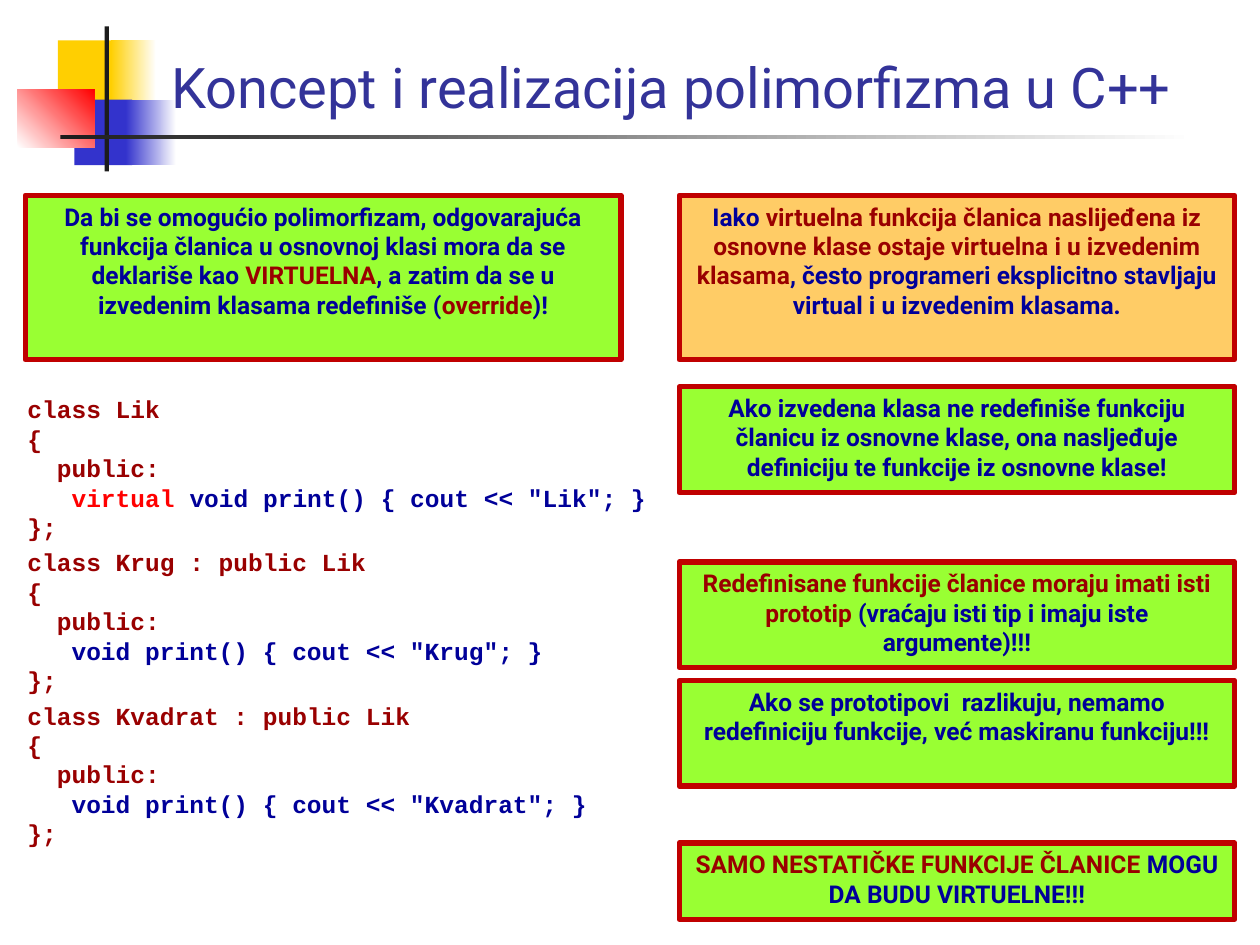
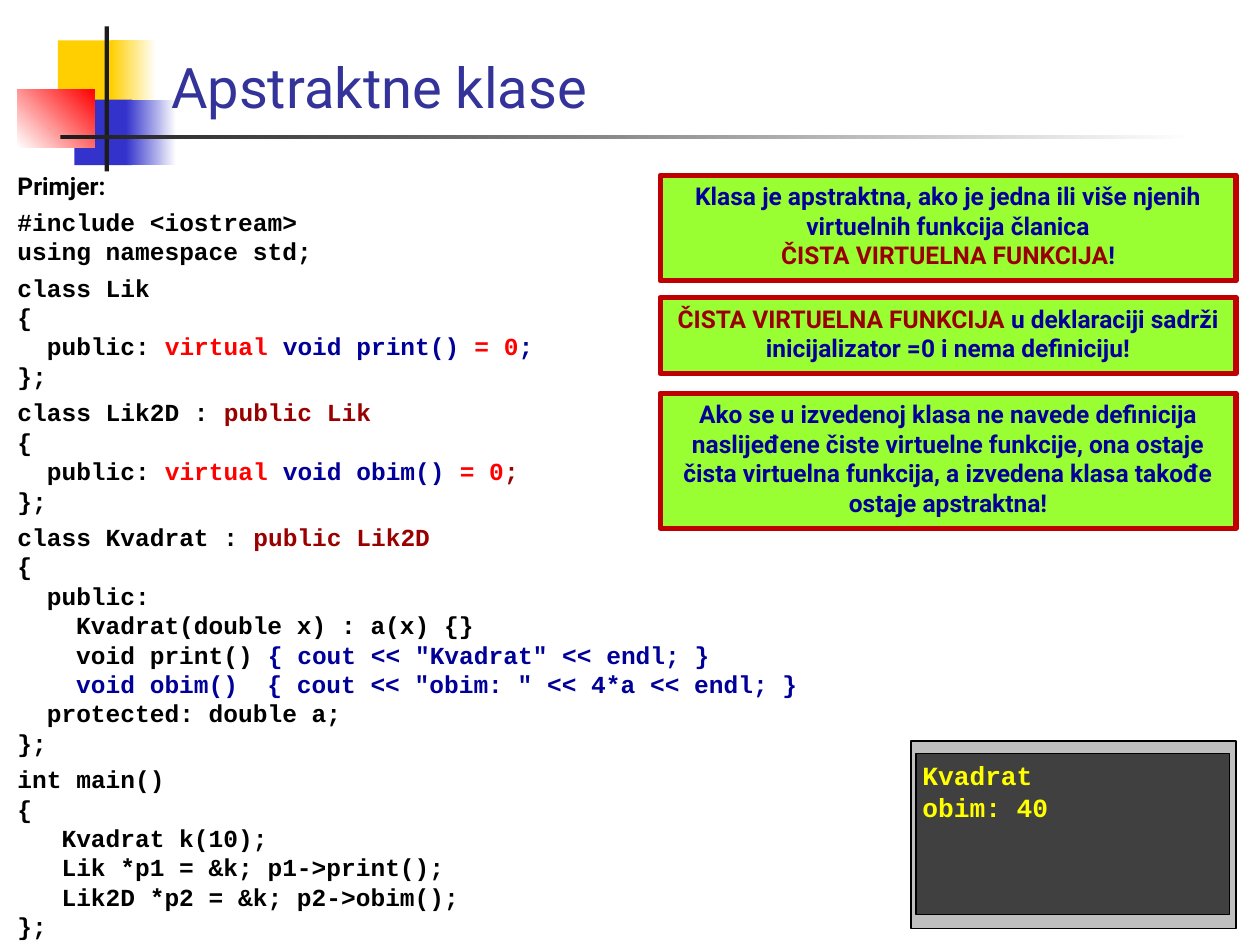
from lxml import etree
from pptx import Presentation
from pptx import util as u
from pptx.dml.color import RGBColor
from pptx.enum import shapes, text
from pptx.oxml.ns import qn

COLUMNS, ROWS = 100, 75
CELL = u.Inches(0.1)
BODY, CODE = "Roboto", "Courier New"
CODE_SIZE = 14
CODE_CHAR = 0.6 * CODE_SIZE

WHITE = RGBColor(0xFF, 0xFF, 0xFF)
BLACK = RGBColor(0x00, 0x00, 0x00)
INK = RGBColor(0x1C, 0x1C, 0x1C)
YELLOW = RGBColor(0xFF, 0xCF, 0x01)
BLUE = RGBColor(0x33, 0x33, 0xCC)
RED = RGBColor(0xFF, 0x00, 0x00)
TITLE = RGBColor(0x33, 0x33, 0x99)
NAVY = RGBColor(0x00, 0x00, 0x99)
MAROON = RGBColor(0x99, 0x00, 0x00)
BORDER = RGBColor(0xC0, 0x00, 0x00)
GREEN = RGBColor(0x99, 0xFF, 0x33)
ORANGE = RGBColor(0xFF, 0xCC, 0x66)
FRAME = RGBColor(0xBF, 0xBF, 0xBF)
SCREEN = RGBColor(0x40, 0x40, 0x40)
OUTPUT = RGBColor(0xFF, 0xFF, 0x00)


def cells(*lengths):
    return [round(length * CELL) for length in lengths]


def line(*runs, indent=0, gap=0, font=None):
    return {"runs": runs, "indent": indent, "gap": gap, "font": font}


def write(shape, lines, *, font=BODY, size=14, color=BLACK, bold=True,
          align=text.PP_ALIGN.LEFT, anchor=text.MSO_ANCHOR.TOP, side=0.1):
    frame = shape.text_frame
    frame.word_wrap = True
    frame.vertical_anchor = anchor
    frame.margin_left = frame.margin_right = u.Inches(side)
    for index, content in enumerate(lines):
        paragraph = frame.add_paragraph() if index else frame.paragraphs[0]
        paragraph.alignment = align
        paragraph.space_before = u.Pt(content["gap"])
        if content["indent"]:
            properties = paragraph._p.get_or_add_pPr()
            properties.set("marL", str(u.Pt(content["indent"] * CODE_CHAR)))
            properties.set("indent", "0")
        for part in content["runs"]:
            words, shade = (part, color) if isinstance(part, str) else part
            run = paragraph.add_run()
            run.text = words
            run.font.name = content["font"] or font
            run.font.size = u.Pt(size)
            run.font.bold = bold
            run.font.color.rgb = shade


def text_area(slide, area, lines, **style):
    write(slide.shapes.add_textbox(*cells(*area)), lines, **style)


def block(slide, area, color, *, fade_to=None, angle=0, border=None, weight=0):
    shape = slide.shapes.add_shape(shapes.MSO_SHAPE.RECTANGLE, *cells(*area))
    shape.shadow.inherit = False
    if fade_to is None:
        shape.fill.solid()
        shape.fill.fore_color.rgb = color
    else:
        shape.fill.gradient()
        shape.fill.gradient_angle = angle
        for stop, position, shade in zip(shape.fill.gradient_stops, (0, 1), (color, fade_to)):
            stop.position = position
            stop.color.rgb = shade
    if border is None:
        shape.line.fill.background()
    else:
        shape.line.color.rgb = border
        shape.line.width = u.Pt(weight)
    return shape


def start_slide(deck, title):
    slide = deck.slides.add_slide(deck.slide_layouts[6])
    block(slide, (4.6, 3.2, 4.8, 5.2), YELLOW)
    block(slide, (8.8, 3.2, 3.6, 5.2), YELLOW, fade_to=WHITE)
    block(slide, (5.9, 7.9, 4.6, 5.2), BLUE)
    block(slide, (10, 7.9, 4, 5.2), BLUE, fade_to=WHITE)
    block(slide, (1.4, 7.1, 6.1, 4.6), WHITE, fade_to=RED, angle=45)
    block(slide, (8.3, 2.1, 0.35, 11.5), INK)
    block(slide, (4.8, 10.7, 90, 0.32), INK, fade_to=WHITE)
    text_area(slide, (12.6, 1.3, 87.4, 8.7), [line(title)], size=32, color=TITLE,
              bold=False, anchor=text.MSO_ANCHOR.BOTTOM)
    return slide


def callout(slide, left, top, width, rows, *lines, fill=GREEN):
    area = (left, top, width, 1.4 + 2.33 * rows)
    shape = block(slide, area, fill, border=BORDER, weight=3)
    write(shape, lines, color=NAVY, align=text.PP_ALIGN.CENTER)


def braces(*header, body, gap=4):
    return [line(*header, gap=gap), line("{"), *body, line("};")]


def figure_class(header, *printing, gap=3.5):
    body = [line("public:", indent=2), line(*printing, indent=3)]
    return braces(header, body=body, gap=gap)


def pure_virtual(signature, end_color):
    return [line("public: ", ("virtual ", RED), (signature, NAVY),
                 ("= 0", RED), (";", end_color), indent=2)]


def console(slide, *lines):
    block(slide, (72.3, 58.8, 25.8, 14.9), FRAME, border=BLACK)
    block(slide, (72.7, 59.8, 24.9, 12.8), SCREEN, border=BLACK)
    text_area(slide, (73.2, 59.8, 21.9, 6), [line(words) for words in lines],
              font=CODE, size=15, color=OUTPUT, side=0)


def polymorphism_slide(deck):
    slide = start_slide(deck, "Koncept i realizacija polimorfizma u C++")
    callout(slide, 2, 15.5, 47.3, 5, line(
        "Da bi se omogućio polimorfizam, odgovarajuća funkcija članica u osnovnoj "
        "klasi mora da se deklariše kao ", ("VIRTUELNA", MAROON),
        ", a zatim da se u izvedenim klasama redefiniše (", ("override", MAROON), ")!"))
    figures = [
        *figure_class("class Lik", ("virtual ", RED),
                      ('void print() { cout << "Lik"; }', NAVY), gap=0),
        *figure_class("class Krug : public Lik", ('void print() { cout << "Krug"; }', NAVY)),
        *figure_class("class Kvadrat : public Lik",
                      ('void print() { cout << "Kvadrat"; }', NAVY)),
    ]
    text_area(slide, (1.2, 30.8, 52, 39.1), figures, font=CODE, size=CODE_SIZE, color=MAROON)
    left, width = 53.9, 44.1
    callout(slide, left, 15.5, width, 5, line(
        "Iako ", ("virtuelna funkcija članica naslijeđena iz osnovne klase ostaje "
                  "virtuelna i u izvedenim klasama", MAROON),
        ", često programeri eksplicitno stavljaju virtual i u izvedenim klasama."), fill=ORANGE)
    callout(slide, left, 30.7, width, 3, line(
        "Ako izvedena klasa ne redefiniše funkciju članicu iz osnovne klase, "
        "ona nasljeđuje definiciju te funkcije iz osnovne klase!"))
    callout(slide, left, 44.6, width, 3, line(
        ("Redefinisane funkcije članice moraju imati isti prototip", MAROON),
        " (vraćaju isti tip i imaju iste argumente)!!!"))
    callout(slide, left, 54, width, 3, line(
        "Ako se prototipovi  razlikuju, nemamo redefiniciju funkcije, "
        "već maskiranu funkciju!!!"))
    callout(slide, left, 66.9, width, 2, line(
        ("SAMO NESTATIČKE FUNKCIJE ČLANICE", MAROON), " MOGU DA BUDU VIRTUELNE!!!"))


def abstract_classes_slide(deck):
    slide = start_slide(deck, "Apstraktne klase")
    left, width = 52.4, 45.7
    pure_function = ("ČISTA VIRTUELNA FUNKCIJA", MAROON)
    callout(slide, left, 13.9, width, 3,
            line("Klasa je apstraktna, ako je jedna ili više njenih virtuelnih funkcija članica"),
            line(pure_function, "!"))
    callout(slide, left, 23.6, width, 2, line(
        pure_function, " u deklaraciji sadrži inicijalizator =0 i nema definiciju!"))
    callout(slide, left, 31.2, width, 4, line(
        "Ako se u izvedenoj klasa ne navede definicija naslijeđene čiste virtuelne "
        "funkcije, ona ostaje čista virtuelna funkcija, a izvedena klasa takođe "
        "ostaje apstraktna!"))
    square = [
        line("public:", indent=2),
        line("Kvadrat(double x) : a(x) {}", indent=4),
        line("void print() ", ('{ cout << "Kvadrat" << endl; }', NAVY), indent=4),
        line(('void obim()  { cout << "obim: " << 4*a << endl; }', NAVY), indent=4),
        line("protected: double a;", indent=2),
    ]
    calls = ["Kvadrat k(10);", "Lik *p1 = &k; p1->print();", "Lik2D *p2 = &k; p2->obim();"]
    program = [
        line("Primjer:", font=BODY),
        line("#include <iostream>", gap=3.5),
        line("using namespace std;"),
        *braces("class Lik", body=pure_virtual("void print() ", NAVY)),
        *braces("class Lik2D : ", ("public Lik", MAROON),
                body=pure_virtual("void obim() ", MAROON)),
        *braces("class Kvadrat : ", ("public Lik2D", MAROON), body=square),
        *braces("int main()", body=[line(call, indent=3) for call in calls]),
    ]
    text_area(slide, (0.4, 13.1, 66.9, 61.9), program, font=CODE, size=CODE_SIZE)
    console(slide, "Kvadrat", "obim: 40")


def main():
    deck = Presentation()
    deck.slide_width, deck.slide_height = cells(COLUMNS, ROWS)
    polymorphism_slide(deck)
    abstract_classes_slide(deck)
    deck.save("out.pptx")


if __name__ == "__main__":
    main()
